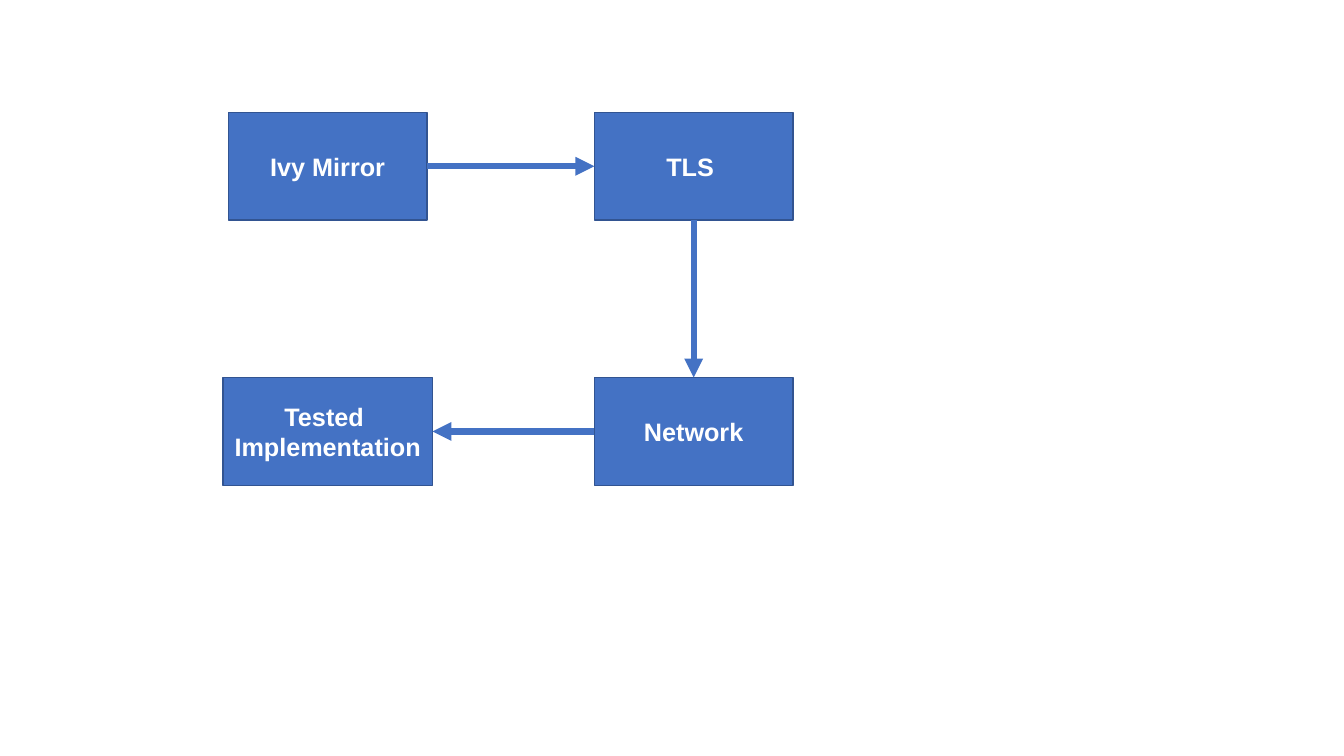
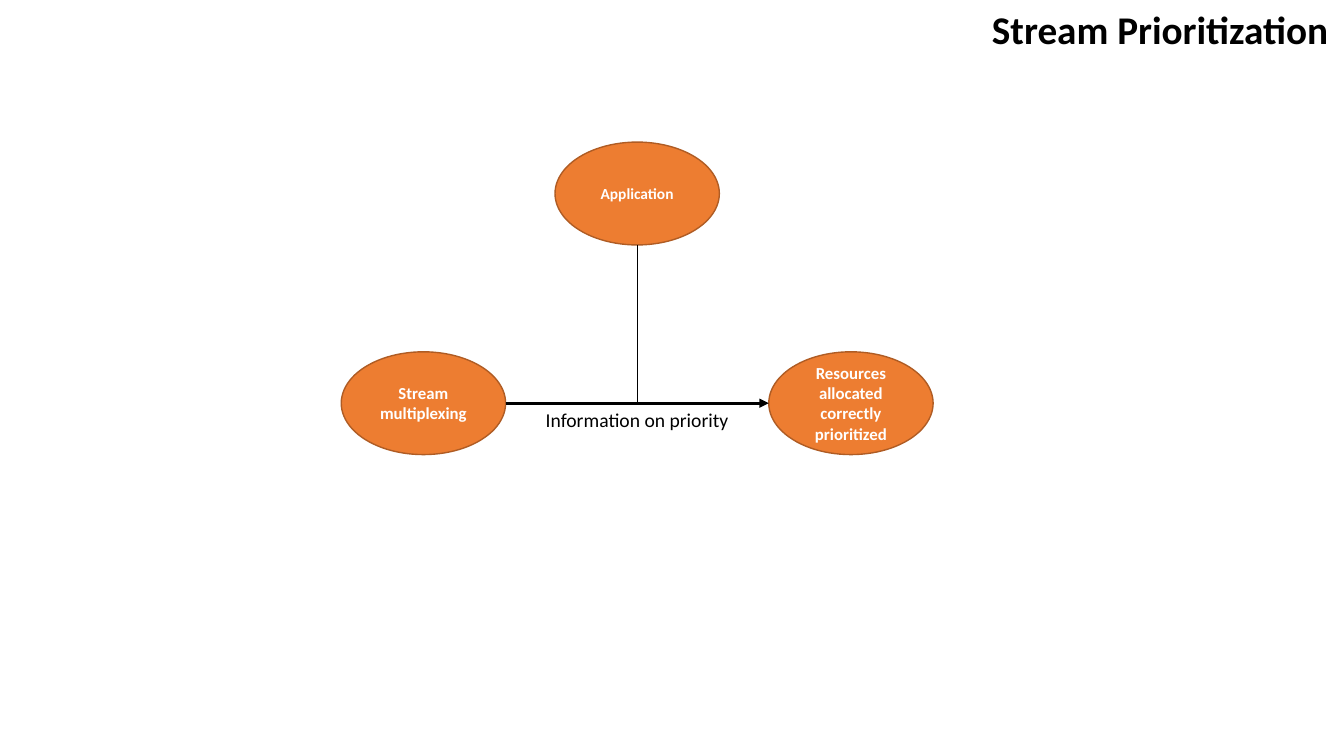
"""Build two protocol diagrams: a test set-up and stream prioritization."""
from dataclasses import dataclass

from lxml.etree import SubElement
from pptx import Presentation
from pptx.dml.color import RGBColor as Rgb
from pptx.enum.shapes import MSO_CONNECTOR as Connector, MSO_SHAPE as Preset
from pptx.enum.text import MSO_ANCHOR as Anchor, MSO_AUTO_SIZE as AutoSize, PP_ALIGN as Align
from pptx.oxml.ns import qn
from pptx.util import Inches, Pt


@dataclass(frozen=True)
class Font:
    face: str
    size: int
    color: str
    bold: bool = True


@dataclass(frozen=True)
class NodeStyle:
    preset: int
    fill: str
    outline: str
    height: float


@dataclass(frozen=True)
class Theme:
    width: float = 13.33
    height: float = 7.5
    blue: str = "4472C4"
    black: str = "000000"
    title: Font = Font("Calibri", 28, "000000")
    caption: Font = Font("Calibri", 14, "000000", False)
    box_text: Font = Font("Arial", 18, "FFFFFF")
    oval_text: Font = Font("Calibri", 12, "FFFFFF")
    small_oval_text: Font = Font("Calibri", 11, "FFFFFF")
    box: NodeStyle = NodeStyle(Preset.RECTANGLE, "4472C4", "325491", 1.07)
    oval: NodeStyle = NodeStyle(Preset.OVAL, "ED7D31", "AF5C24", 1.02)


THEME = Theme()
TOP, LEFT, BOTTOM, RIGHT = range(4)


def write(frame, lines, font, align):
    for index, line in enumerate(lines):
        paragraph = frame.add_paragraph() if index else frame.paragraphs[0]
        paragraph.alignment = align
        run = paragraph.add_run()
        run.text = line
        run.font.name = font.face
        run.font.size = Pt(font.size)
        run.font.bold = font.bold
        run.font.color.rgb = Rgb.from_string(font.color)


def add_node(slide, center, width, style, lines, font):
    x, y = center
    node = slide.shapes.add_shape(
        style.preset, Inches(x - width / 2), Inches(y - style.height / 2),
        Inches(width), Inches(style.height))
    node.shadow.inherit = False
    node.fill.solid()
    node.fill.fore_color.rgb = Rgb.from_string(style.fill)
    node.line.color.rgb = Rgb.from_string(style.outline)
    node.line.width = Pt(1)
    node.text_frame.word_wrap = True
    node.text_frame.vertical_anchor = Anchor.MIDDLE
    write(node.text_frame, lines, font, Align.CENTER)
    return node


def add_line(slide, start, end, color, weight, arrow=True):
    line = slide.shapes.add_connector(
        Connector.STRAIGHT, *(Inches(length) for length in (*start, *end)))
    line.line.color.rgb = Rgb.from_string(color)
    line.line.width = Pt(weight)
    if arrow:
        SubElement(line.line._get_or_add_ln(), qn("a:tailEnd"), type="triangle")
    SubElement(line._element.spPr, qn("a:effectLst"))
    return line


def link_boxes(slide, source, source_side, target, target_side):
    link = add_line(slide, (0, 0), (0, 0), THEME.blue, 4.5)
    link.begin_connect(source, source_side)
    link.end_connect(target, target_side)


def add_text(slide, left, top, width, height, text, font, align, wrap=True):
    box = slide.shapes.add_textbox(
        Inches(left), Inches(top), Inches(width), Inches(height))
    box.text_frame.word_wrap = wrap
    box.text_frame.auto_size = AutoSize.SHAPE_TO_FIT_TEXT
    write(box.text_frame, [text], font, align)


def build_test_setup(slide):
    columns, rows = (3.25, 6.88), (1.65, 4.28)
    nodes = (
        (0, 0, 1.97, ["Ivy Mirror"]),
        (1, 0, 1.97, ["TLS "]),
        (1, 1, 1.97, ["Network"]),
        (0, 1, 2.08, ["Tested ", "Implementation"]),
    )
    mirror, tls, network, tested = [
        add_node(slide, (columns[column], rows[row]), width, THEME.box, lines, THEME.box_text)
        for column, row, width, lines in nodes]
    link_boxes(slide, mirror, RIGHT, tls, LEFT)
    link_boxes(slide, tls, BOTTOM, network, TOP)
    link_boxes(slide, network, LEFT, tested, RIGHT)


def build_prioritization(slide):
    middle, step, oval_width = 6.32, 2.12, 1.63
    application_y, stream_y = 1.92, 4
    title_width, caption_width = 3.59, 2.03
    add_text(slide, THEME.width - title_width, 0, title_width, 0.57,
             "Stream Prioritization", THEME.title, Align.LEFT)
    nodes = (
        (-1, stream_y, "Stream multiplexing", THEME.oval_text),
        (1, stream_y, "Resources allocated correctly prioritized", THEME.oval_text),
        (0, application_y, "Application", THEME.small_oval_text),
    )
    for column, y, label, font in nodes:
        add_node(slide, (middle + column * step, y), oval_width, THEME.oval, [label], font)
    reach = step - oval_width / 2
    add_line(slide, (middle - reach, stream_y), (middle + reach, stream_y), THEME.black, 2.25)
    add_line(slide, (middle, application_y + THEME.oval.height / 2), (middle, stream_y),
             THEME.black, 0.5, arrow=False)
    add_text(slide, middle - caption_width / 2, stream_y, caption_width, 0.34,
             "Information on priority", THEME.caption, Align.CENTER, wrap=False)


def main():
    deck = Presentation()
    deck.slide_width, deck.slide_height = Inches(THEME.width), Inches(THEME.height)
    for build in (build_test_setup, build_prioritization):
        build(deck.slides.add_slide(deck.slide_layouts[6]))
    deck.save("out.pptx")


if __name__ == "__main__":
    main()
